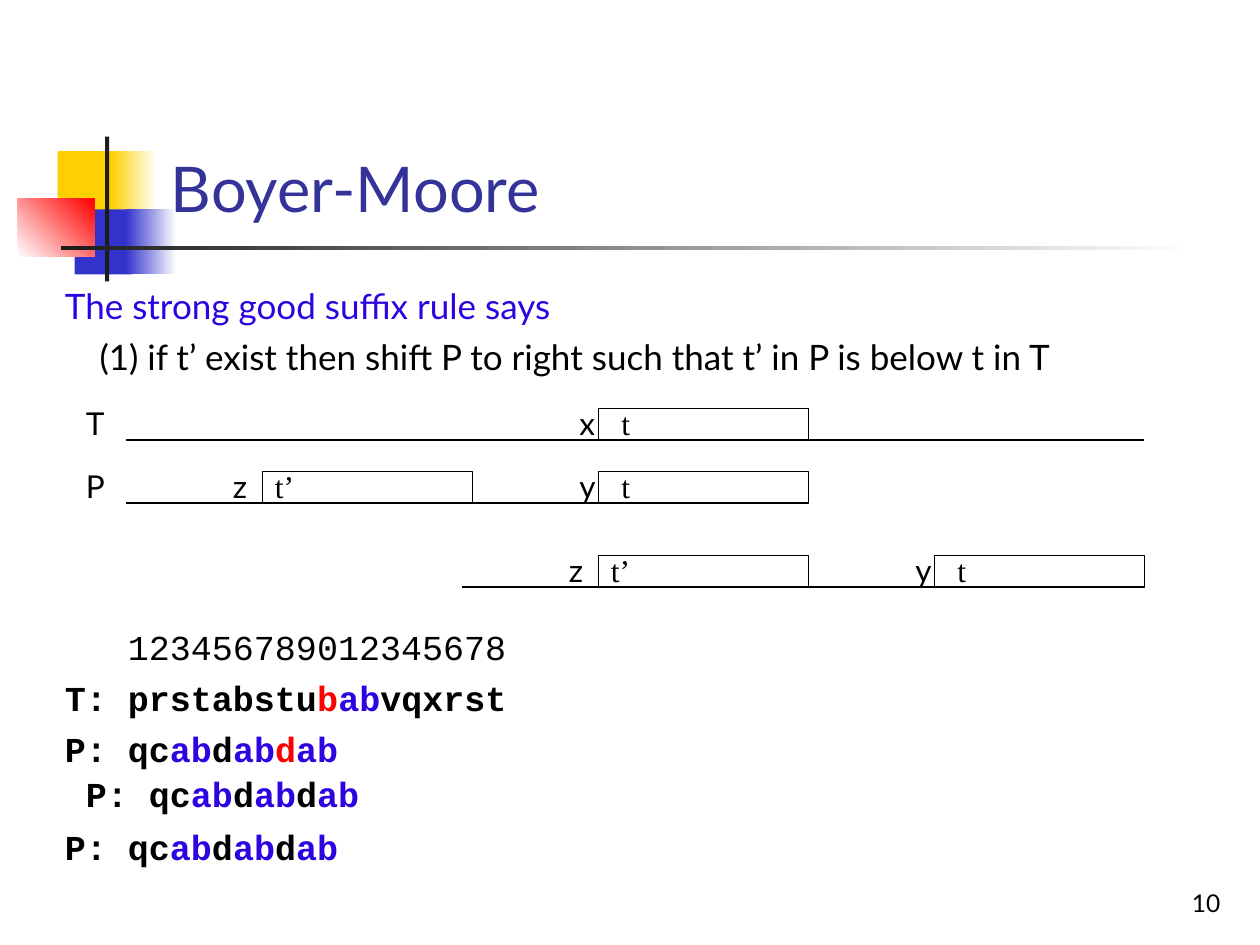
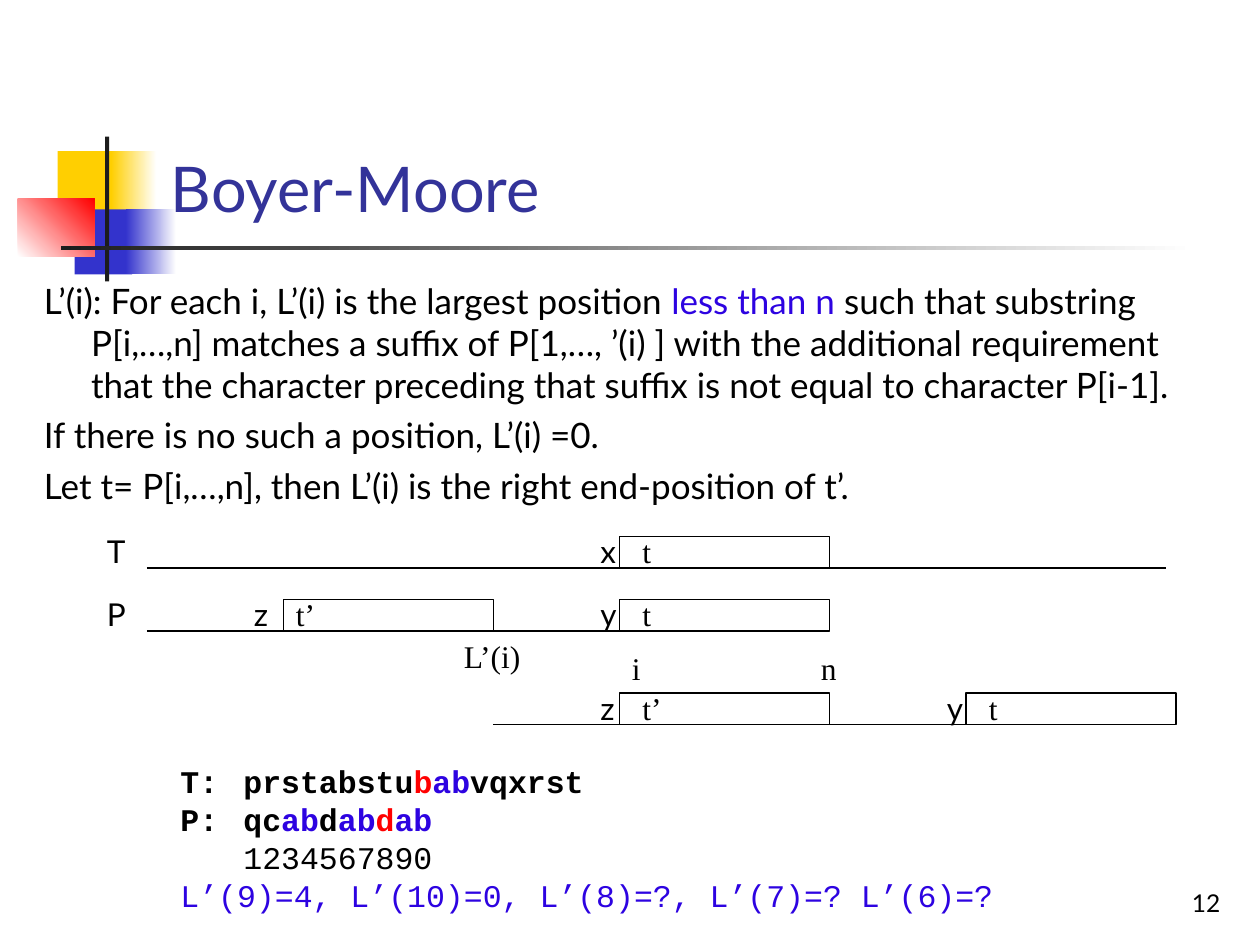
from dataclasses import dataclass
from typing import Optional

from lxml.etree import SubElement
from pptx import Presentation
from pptx.dml.color import RGBColor
from pptx.enum.shapes import MSO_CONNECTOR, MSO_SHAPE
from pptx.enum.text import MSO_ANCHOR, PP_ALIGN
from pptx.oxml.ns import qn
from pptx.util import Inches, Pt

COLS, ROWS = 120, 90
SLIDE_W, SLIDE_H = Inches(10), Inches(7.5)

BLACK, WHITE, INK = "000000", "FFFFFF", "1C1C1C"
YELLOW, NAVY, RED = "FFCF01", "3333CC", "FF0000"
TITLE, ACCENT = "333399", "2D03E1"
SANS, SERIF, MONO = "Lato", "Times New Roman", "Courier New"
MONO_ADVANCE = 0.6
BLOCK_W, BLOCK_H = 20, 3


@dataclass(frozen=True)
class Run:
    text: str
    color: str = BLACK
    bold: bool = False


@dataclass(frozen=True)
class Para:
    runs: tuple[Run, ...]
    margin: float = 0
    indent: float = 0
    tab_chars: int = 0


@dataclass(frozen=True)
class Style:
    font: str
    size: int
    gap: float = 0
    align: PP_ALIGN = PP_ALIGN.LEFT
    anchor: MSO_ANCHOR = MSO_ANCHOR.TOP


@dataclass(frozen=True)
class Band:
    left: float
    top: float
    width: float
    height: float
    start: str
    end: Optional[str] = None
    angle: int = 0


@dataclass(frozen=True)
class Block:
    left: float
    name: str
    mark: str
    mark_shift: float = 3
    name_shift: float = 1


@dataclass(frozen=True)
class Strand:
    row: float
    start: float
    end: float
    blocks: tuple[Block, ...]
    name: str = ""


@dataclass(frozen=True)
class Label:
    left: float
    top: float
    text: str


BANDS = (
    Band(5.5, 14.4, 5.8, 6.2, YELLOW),
    Band(10.6, 14.4, 4.3, 6.2, YELLOW, WHITE),
    Band(7.1, 19.95, 5.5, 6.2, NAVY),
    Band(12, 19.95, 4.8, 6.2, NAVY, WHITE),
    Band(1.7, 18.95, 7.3, 5.5, WHITE, RED, 45),
    Band(10, 13, 0.4, 13.8, INK),
    Band(5.8, 23.4, 108, 0.4, INK, WHITE),
)

HEADING = Style(SANS, 36, anchor=MSO_ANCHOR.BOTTOM)
NUMBER = Style(SANS, 14, align=PP_ALIGN.RIGHT, anchor=MSO_ANCHOR.BOTTOM)
PROSE = Style(SANS, 20, gap=5)
CODE = Style(MONO, 20, gap=5)
SMALL_CODE = Style(MONO, 18)
MARK, NAME = Style(SANS, 18), Style(SERIF, 18)


def rgb(value: str) -> RGBColor:
    return RGBColor.from_string(value)


def x(cols: float) -> int:
    return round(SLIDE_W * cols / COLS)


def y(rows: float) -> int:
    return round(SLIDE_H * rows / ROWS)


def add_text(slide, left: float, top: float, width: float, height: float,
             paras: tuple[Para, ...], style: Style) -> None:
    tf = slide.shapes.add_textbox(x(left), y(top), x(width), y(height)).text_frame
    tf.word_wrap = True
    tf.vertical_anchor = style.anchor
    for i, para in enumerate(paras):
        p = tf.add_paragraph() if i else tf.paragraphs[0]
        pPr = p._p.get_or_add_pPr()
        pPr.set("marL", str(x(para.margin)))
        pPr.set("indent", str(x(para.indent)))
        if para.tab_chars:
            stop = Pt(para.tab_chars * style.size * MONO_ADVANCE)
            tabs = SubElement(pPr, qn("a:tabLst"))
            SubElement(tabs, qn("a:tab"), pos=str(stop), algn="l")
        p.alignment = style.align
        if i and style.gap:
            p.space_before = Pt(style.gap)
        for run in para.runs:
            r = p.add_run()
            r.text = run.text
            r.font.name = style.font
            r.font.size = Pt(style.size)
            r.font.bold = run.bold
            r.font.color.rgb = rgb(run.color)


def line_of(text: str, color: str = BLACK, **layout: float) -> Para:
    return Para((Run(text, color),), **layout)


def add_label(slide, left: float, top: float, text: str, style: Style) -> None:
    add_text(slide, left, top, 5 if len(text) < 3 else 8, 4.8,
             (line_of(text),), style)


def add_band(slide, band: Band) -> None:
    sp = slide.shapes.add_shape(MSO_SHAPE.RECTANGLE, x(band.left), y(band.top),
                                x(band.width), y(band.height))
    sp.shadow.inherit = False
    sp.line.fill.background()
    if band.end is None:
        sp.fill.solid()
        sp.fill.fore_color.rgb = rgb(band.start)
        return
    sp.fill.gradient()
    sp.fill.gradient_angle = band.angle
    for stop, color in zip(sp.fill.gradient_stops, (band.start, band.end)):
        stop.color.rgb = rgb(color)


def add_strand(slide, strand: Strand) -> None:
    line = slide.shapes.add_connector(MSO_CONNECTOR.STRAIGHT, x(strand.start),
                                      y(strand.row), x(strand.end), y(strand.row))
    line.line.color.rgb = rgb(BLACK)
    line.line.width = Pt(0.75)
    SubElement(line._element.spPr, qn("a:effectLst"))
    text_row = strand.row - 4
    if strand.name:
        add_label(slide, strand.start - 5, text_row, strand.name, MARK)
    for block in strand.blocks:
        sp = slide.shapes.add_shape(MSO_SHAPE.FLOWCHART_PROCESS, x(block.left),
                                    y(strand.row - BLOCK_H), x(BLOCK_W), y(BLOCK_H))
        sp.shadow.inherit = False
        sp.fill.background()
        sp.line.color.rgb = rgb(BLACK)
        sp.line.width = Pt(0.75)
        add_label(slide, block.left - block.mark_shift, text_row, block.mark, MARK)
        add_label(slide, block.left + block.name_shift, text_row, block.name, NAME)


def text_row() -> Para:
    return Para((Run("T:\tprstabstu", bold=True), Run("b", RED, True),
                 Run("ab", ACCENT, True), Run("vqxrst", bold=True)), tab_chars=4)


def pattern_row(column: int, mismatch: str = BLACK) -> Para:
    ab = Run("ab", ACCENT, True)
    return Para((Run("P:\tqc", bold=True), ab, Run("d", bold=True), ab,
                 Run("d", mismatch, True), ab), tab_chars=column)


def add_slide(prs, number: int, strands: tuple[Strand, ...]):
    slide = prs.slides.add_slide(prs.slide_layouts[6])
    for band in BANDS:
        add_band(slide, band)
    add_text(slide, 92.4, 82, 25, 6, (line_of(str(number)),), NUMBER)
    add_text(slide, 15.1, 2.8, 102.2, 19.2,
             (line_of("Boyer-Moore", TITLE),), HEADING)
    for strand in strands:
        add_strand(slide, strand)
    return slide


def strong_suffix_slide(prs) -> None:
    slide = add_slide(prs, 10, (
        Strand(41.9, 12, 109, (Block(57, "t", "x"),), "T"),
        Strand(47.9, 12, 77, (Block(25, "t’", "z", 4, 0), Block(57, "t", "y")), "P"),
        Strand(55.9, 44, 109, (Block(57, "t’", "z", 4, 0), Block(89, "t", "y"))),
    ))
    add_text(slide, 5, 26.5, 115, 11, (
        line_of("The strong good suffix rule says", ACCENT),
        line_of("(1) if t’ exist then shift P to right such that t’ in P "
                "is below t in T", margin=3.3),
    ), PROSE)
    add_text(slide, 5, 59, 60, 14, (
        line_of("\t123456789012345678", tab_chars=4),
        text_row(),
        pattern_row(6, RED),
    ), CODE)
    for left, top, column in ((7, 73, 11), (5, 78, 9)):
        add_text(slide, left, top, 47, 5.3, (pattern_row(column),), CODE)


def end_position_slide(prs) -> None:
    slide = add_slide(prs, 12, (
        Strand(54.1, 14, 111, (Block(59, "t", "x"),), "T"),
        Strand(60.1, 14, 79, (Block(27, "t’", "z", 4, 0), Block(59, "t", "y")), "P"),
        Strand(69, 47, 112, (Block(59, "t’", "z"), Block(92, "t", "y"))),
    ))
    add_text(slide, 3, 26, 113, 24, (
        Para((
            Run("L’(i): For each i, L’(i) is the largest position "),
            Run("less than n", ACCENT),
            Run(" such that substring P[i,…,n] matches a suffix of P[1,…, ’(i) ] "
                "with the additional requirement that the character preceding "
                "that suffix is not equal to character P[i-1]."),
        ), margin=4.5, indent=-4.5),
        line_of("If there is no such a position, L’(i) =0."),
        line_of("Let t= P[i,…,n], then L’(i) is the right end-position of t’."),
    ), PROSE)
    for label in (Label(43, 60.1, "L’(i)"), Label(59, 61.2, "i"),
                  Label(77, 61.2, "n")):
        add_label(slide, label.left, label.top, label.text, NAME)
    add_text(slide, 16, 72, 85, 15.6, (
        text_row(),
        pattern_row(6, RED),
        line_of("\t1234567890", tab_chars=6),
        line_of("L’(9)=4, L’(10)=0, L’(8)=?, L’(7)=? L’(6)=?", ACCENT),
    ), SMALL_CODE)


def main() -> None:
    prs = Presentation()
    prs.slide_width, prs.slide_height = SLIDE_W, SLIDE_H
    strong_suffix_slide(prs)
    end_position_slide(prs)
    prs.save("out.pptx")


if __name__ == "__main__":
    main()
